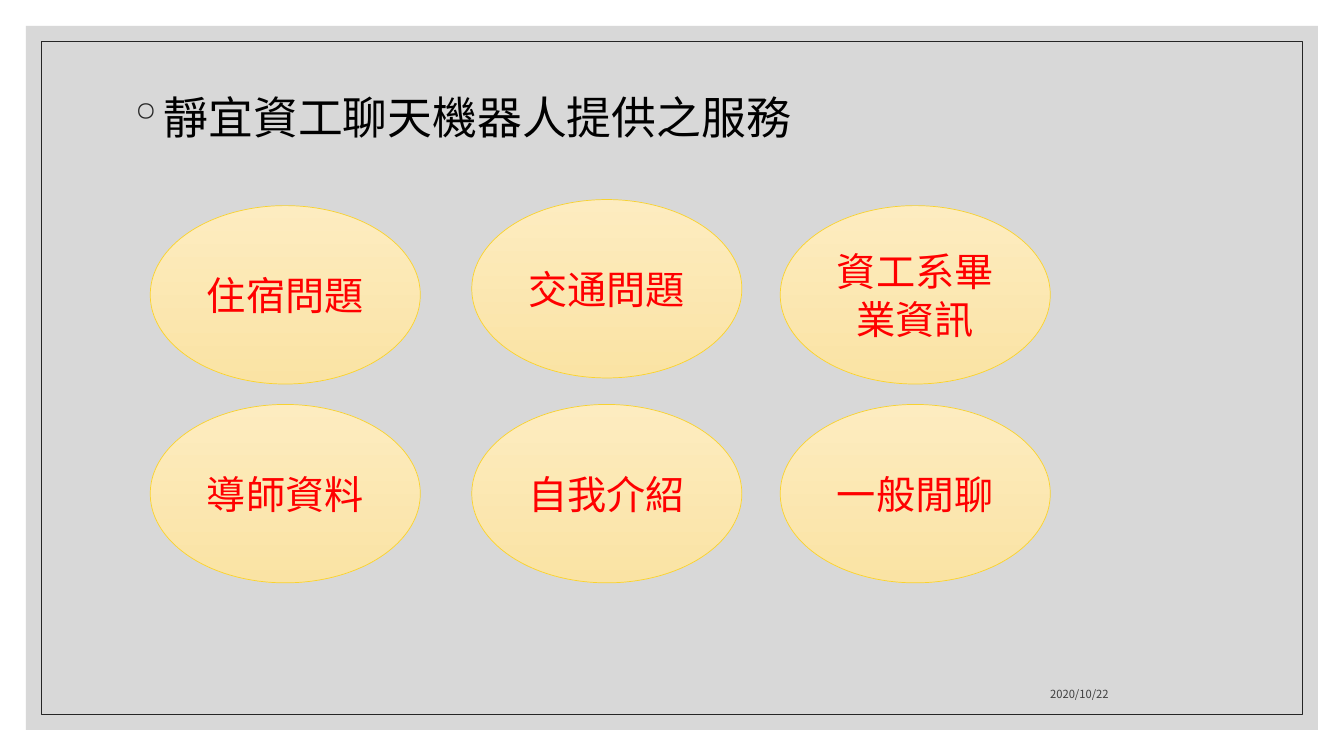
from dataclasses import dataclass

from lxml import etree
from pptx import Presentation
from pptx.dml.color import RGBColor
from pptx.enum.shapes import MSO_SHAPE
from pptx.enum.text import MSO_ANCHOR, MSO_AUTO_SIZE, PP_ALIGN
from pptx.oxml.ns import qn
from pptx.util import Pt

RECTANGLE, OVAL = MSO_SHAPE.RECTANGLE, MSO_SHAPE.OVAL
TOP, MIDDLE, BOTTOM = MSO_ANCHOR.TOP, MSO_ANCHOR.MIDDLE, MSO_ANCHOR.BOTTOM
LEFT, CENTER, RIGHT = PP_ALIGN.LEFT, PP_ALIGN.CENTER, PP_ALIGN.RIGHT
NO_AUTOFIT = MSO_AUTO_SIZE.NONE

COLORS = {
    "panel": "BFBFBF",
    "frame": "262626",
    "heading": "000000",
    "date": "404040",
    "service": "FF0000",
    "oval_top": "FDECC0",
    "oval_bottom": "FAE3A4",
    "oval_line": "F8D22F",
}
HEADING_FONT, DATE_FONT, SERVICE_FONT = "Noto Sans CJK SC", "Noto Sans CJK TC", "Quicksand"

SLIDE_W, SLIDE_H = 960, 540
COLUMNS = (107.28, 336.96, 557.28)
ROWS = (146.88, 288.9)
OVAL_W, OVAL_H = 192.96, 127.44


@dataclass
class Service:
    label: str
    column: int
    row: int
    lift: float = 0


SERVICES = [
    Service("住宿問題", 0, 0),
    Service("交通問題", 1, 0, lift=4.32),
    Service("資工系畢業資訊", 2, 0),
    Service("導師資料", 0, 1),
    Service("自我介紹", 1, 1),
    Service("一般閒聊", 2, 1),
]


def rgb(name: str) -> RGBColor:
    return RGBColor.from_string(COLORS[name])


def write(shape, text: str, font: str, size: float, color: str, align, anchor):
    """Put one formatted paragraph into a shape and return the paragraph."""
    frame = shape.text_frame
    frame.text = text
    frame.word_wrap = True
    frame.auto_size = NO_AUTOFIT
    frame.vertical_anchor = anchor
    paragraph = frame.paragraphs[0]
    paragraph.alignment = align
    run = paragraph.runs[0]
    run.font.size = Pt(size)
    run.font.color.rgb = rgb(color)
    run.font.name = font
    etree.SubElement(run.font._element, qn("a:ea"), typeface=font)
    return paragraph


def add_border_rectangle(slide, margin: float):
    """Add a rectangle inset by the same margin on all four sides."""
    rectangle = slide.shapes.add_shape(
        RECTANGLE, Pt(margin), Pt(margin), Pt(SLIDE_W - 2 * margin), Pt(SLIDE_H - 2 * margin)
    )
    rectangle.shadow.inherit = False
    return rectangle


def add_background(slide) -> None:
    panel = add_border_rectangle(slide, 18.6)
    panel.fill.solid()
    panel.fill.fore_color.rgb = rgb("panel")
    panel.line.fill.background()
    panel_color = panel._element.spPr.find(".//" + qn("a:srgbClr"))
    etree.SubElement(panel_color, qn("a:alpha"), val="60000")

    frame = add_border_rectangle(slide, 29.4)
    frame.fill.background()
    frame.line.color.rgb = rgb("frame")
    frame.line.width = Pt(0.5)


def add_heading(slide) -> None:
    heading = slide.shapes.title
    heading.left, heading.top, heading.width, heading.height = Pt(84.24), Pt(56.88), Pt(792), Pt(64)
    paragraph = write(heading, "靜宜資工聊天機器人提供之服務", HEADING_FONT, 32, "heading", LEFT, TOP)
    paragraph.line_spacing = 1.1
    paragraph.space_before = Pt(9)
    # Hanging bullet
    properties = paragraph._p.get_or_add_pPr()
    properties.set("marL", str(Pt(14.4)))
    properties.set("indent", str(Pt(-14.4)))
    bullet_color = etree.SubElement(properties, qn("a:buClr"))
    etree.SubElement(bullet_color, qn("a:srgbClr"), val=COLORS["frame"])
    etree.SubElement(properties, qn("a:buChar"), char="◦")
    # Bring the heading in front of the panel
    slide.shapes._spTree.append(heading._element)


def add_date(slide) -> None:
    date = slide.shapes.add_textbox(Pt(571.68), Pt(475.2), Pt(227.52), Pt(28.8))
    write(date, "2020/10/22", DATE_FONT, 8, "date", RIGHT, BOTTOM)


def add_service(slide, service: Service) -> None:
    oval = slide.shapes.add_shape(
        OVAL, Pt(COLUMNS[service.column]), Pt(ROWS[service.row] - service.lift), Pt(OVAL_W), Pt(OVAL_H)
    )
    oval.shadow.inherit = False
    oval.fill.gradient()
    oval.fill.gradient_angle = 270
    for stop, color in zip(oval.fill.gradient_stops, ("oval_top", "oval_bottom")):
        stop.color.rgb = rgb(color)
    oval.line.color.rgb = rgb("oval_line")
    oval.line.width = Pt(0.5)
    write(oval, service.label, SERVICE_FONT, 28, "service", CENTER, MIDDLE)


def main() -> None:
    deck = Presentation()
    deck.slide_width, deck.slide_height = Pt(SLIDE_W), Pt(SLIDE_H)
    slide = deck.slides.add_slide(deck.slide_layouts.get_by_name("Title Only"))
    add_background(slide)
    add_heading(slide)
    add_date(slide)
    for service in SERVICES:
        add_service(slide, service)
    deck.save("out.pptx")


if __name__ == "__main__":
    main()
